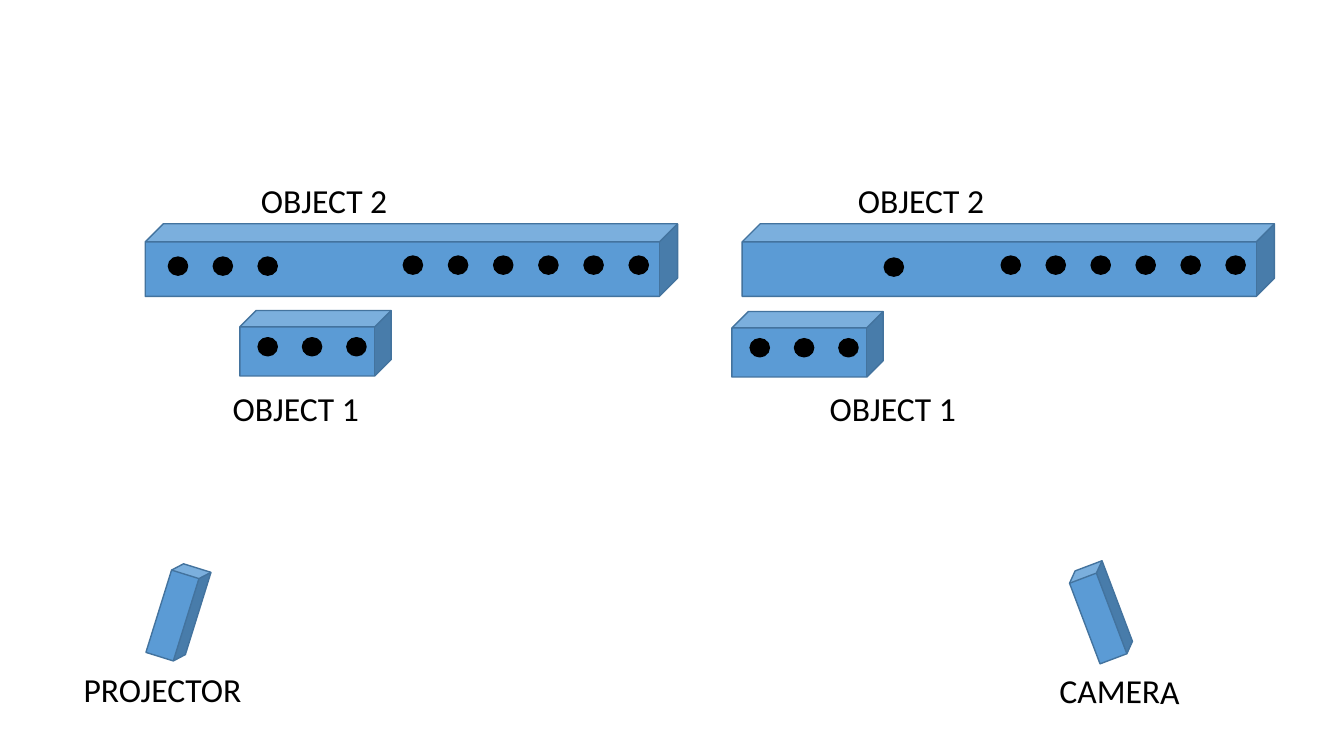
import pptx
import pptx.util
import pptx.dml.color
import pptx.enum.shapes
import pptx.enum.text

Inches = pptx.util.Inches
Pt = pptx.util.Pt
Shapes = pptx.enum.shapes.MSO_SHAPE

BLUE = pptx.dml.color.RGBColor(0x5B, 0x9B, 0xD5)
EDGE = pptx.dml.color.RGBColor(0x43, 0x73, 0x9E)
BLACK = pptx.dml.color.RGBColor(0, 0, 0)

deck = pptx.Presentation()
deck.slide_width = Inches(13.33)
deck.slide_height = Inches(7.5)
slide = deck.slides.add_slide(deck.slide_layouts[6])


def add_solid(kind, left, top, width, height, fill, line, rotation=0):
    solid = slide.shapes.add_shape(
        kind, Inches(left), Inches(top), Inches(width), Inches(height))
    solid.shadow.inherit = False
    solid.fill.solid()
    solid.fill.fore_color.rgb = fill
    solid.line.color.rgb = line
    solid.line.width = Pt(1)
    solid.rotation = rotation


def add_label(words, left, top, width, rotation=0):
    label = slide.shapes.add_textbox(
        Inches(left), Inches(top), Inches(width), Inches(0.5))
    label.rotation = rotation
    frame = label.text_frame
    frame.word_wrap = True
    frame.auto_size = pptx.enum.text.MSO_AUTO_SIZE.SHAPE_TO_FIT_TEXT
    frame.text = words
    font = frame.paragraphs[0].runs[0].font
    font.name = "Calibri"
    font.size = Pt(24)
    font.color.rgb = BLACK


# Objects, projector and camera: left, top, width, height, rotation
for left, top, width, height, rotation in [
    (1.44, 2.22, 5.28, 0.72, 0),
    (2.38, 3.08, 1.5, 0.65, 0),
    (7.36, 2.22, 5.28, 0.72, 0),
    (7.26, 3.09, 1.5, 0.65, 0),
    (1.58, 5.6, 0.38, 0.95, 17.3),
    (10.73, 5.6, 0.38, 0.95, 339.3),
]:
    add_solid(Shapes.CUBE, left, top, width, height, BLUE, EDGE, rotation)

# Rows of projected dots: first left, top, count, pitch
for first_left, top, count, pitch in [
    (1.67, 2.55, 3, 0.445),
    (4.0, 2.54, 6, 0.448),
    (2.56, 3.35, 3, 0.44),
    (8.77, 2.56, 1, 0),
    (9.93, 2.54, 6, 0.446),
    (7.44, 3.36, 3, 0.44),
]:
    for dot in range(count):
        add_solid(Shapes.OVAL, first_left + dot * pitch, top, 0.19, 0.18,
                  BLACK, BLACK)

# Object labels, the same in both views
VIEW_PITCH = 5.92
for view in range(2):
    add_label("OBJECT 2", 2.49 + view * VIEW_PITCH, 1.74, 1.52)
    add_label("OBJECT 1", 2.21 + view * VIEW_PITCH, 3.8, 1.52)

# Device labels
add_label("PROJECTOR", 0.73, 6.59, 1.82)
add_label("CAMERA", 10.41, 6.6, 1.42, 0.4)

deck.save("out.pptx")
